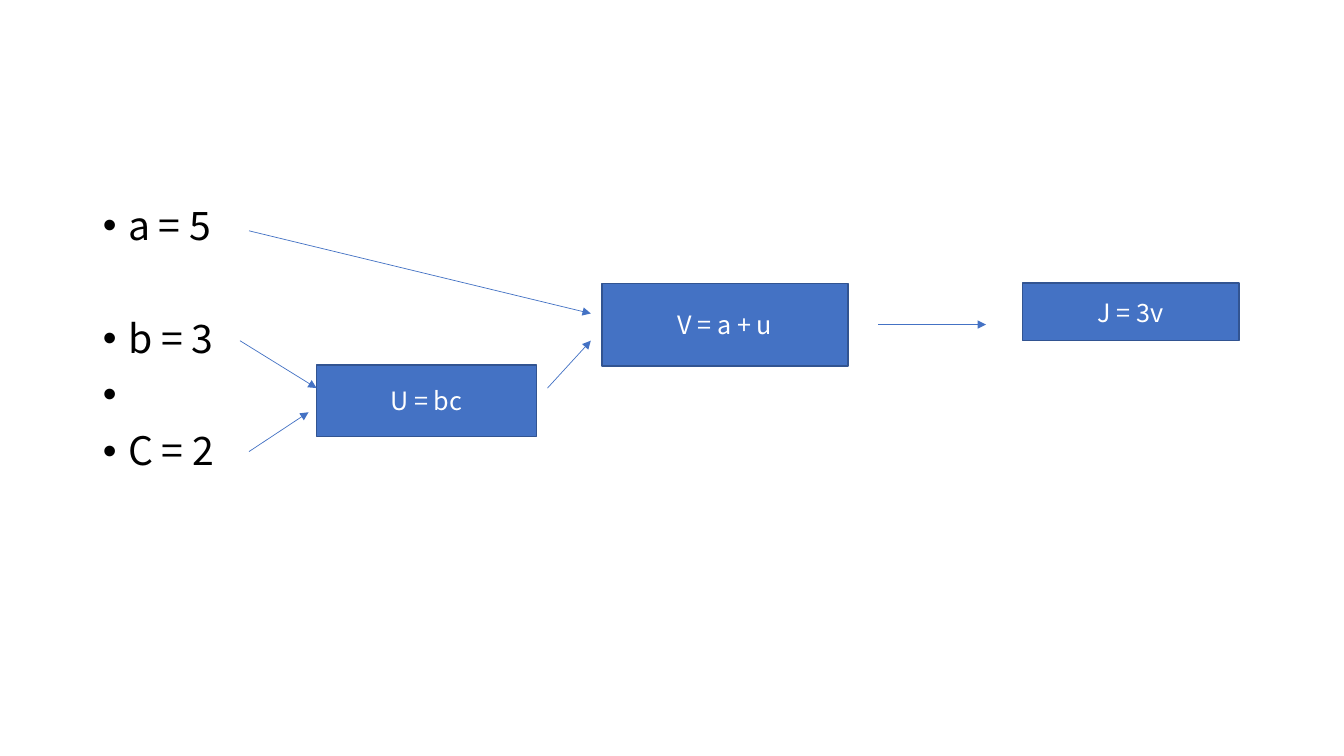
from pptx import Presentation
from pptx import util as u
from pptx.dml.color import RGBColor
from pptx.enum import shapes, text
from pptx.oxml.ns import qn
from lxml import etree

FONT = "Noto Sans CJK KR"
COLORS = {"node": "4472C4", "border": "325491", "label": "FFFFFF", "input": "000000"}


def color(key):
    return RGBColor.from_string(COLORS[key])


def style_font(font, size, key):
    for name, value in {"name": FONT, "size": u.Pt(size)}.items():
        setattr(font, name, value)
    font.color.rgb = color(key)


deck = Presentation()
deck.slide_width, deck.slide_height = u.Inches(13.33), u.Inches(7.5)
slide = deck.slides.add_slide(deck.slide_layouts.get_by_name("Title and Content"))
title = slide.shapes.title
title.element.getparent().remove(title.element)

# Input values: the third bullet stands alone, without a value
inputs = slide.placeholders[1]
for name, value in {"left": 0.92, "top": 2, "width": 11.5, "height": 3.73}.items():
    setattr(inputs, name, u.Inches(value))
frame = inputs.text_frame
frame.auto_size = text.MSO_AUTO_SIZE.NONE
frame.vertical_anchor = text.MSO_ANCHOR.TOP
frame.text = "a = 5\nb = 3\n \nC = 2"
for line, space_before in zip(frame.paragraphs, (10, 50.2, 10, 10)):
    for name, value in {"line_spacing": 0.9, "space_before": u.Pt(space_before)}.items():
        setattr(line, name, value)
    style_font(line.runs[0].font, 28, "input")
    props = line._p.get_or_add_pPr()
    props.set("marL", str(u.Inches(0.25)))
    props.set("indent", str(u.Inches(-0.25)))
    etree.SubElement(props, qn("a:buFont")).set("typeface", "Arial")
    etree.SubElement(props, qn("a:buChar")).set("char", "•")

# Computation nodes: label, left, top, width, height
for label, *box in (
    ("U = bc", 3.14, 3.62, 2.18, 0.71),
    ("V = a + u", 5.97, 2.81, 2.44, 0.82),
    ("J = 3v", 10.14, 2.81, 2.15, 0.57),
):
    node = slide.shapes.add_shape(shapes.MSO_SHAPE.RECTANGLE, *map(u.Inches, box))
    node.shadow.inherit = False
    node.fill.solid()
    node.fill.fore_color.rgb = color("node")
    node.line.color.rgb = color("border")
    node.line.width = u.Pt(1)
    node.text_frame.text = label
    node.text_frame.vertical_anchor = text.MSO_ANCHOR.MIDDLE
    caption = node.text_frame.paragraphs[0]
    caption.alignment = text.PP_ALIGN.CENTER
    style_font(caption.runs[0].font, 18, "label")

# Data flow: start x, start y, end x, end y
for ends in (
    (2.47, 2.29, 5.86, 3.11),  # a to V
    (2.38, 3.38, 3.14, 3.85),  # b to U
    (2.47, 4.48, 3.06, 4.09),  # C to U
    (5.43, 3.85, 5.86, 3.38),  # U to V
    (8.71, 3.22, 9.78, 3.22),  # V to J
):
    flow = slide.shapes.add_connector(shapes.MSO_CONNECTOR.STRAIGHT, *map(u.Inches, ends))
    flow.line.color.rgb = color("node")
    flow.line.width = u.Pt(0.5)
    etree.SubElement(flow.line._get_or_add_ln(), qn("a:tailEnd")).set("type", "triangle")
    etree.SubElement(flow._element.spPr, qn("a:effectLst"))

deck.save("out.pptx")
